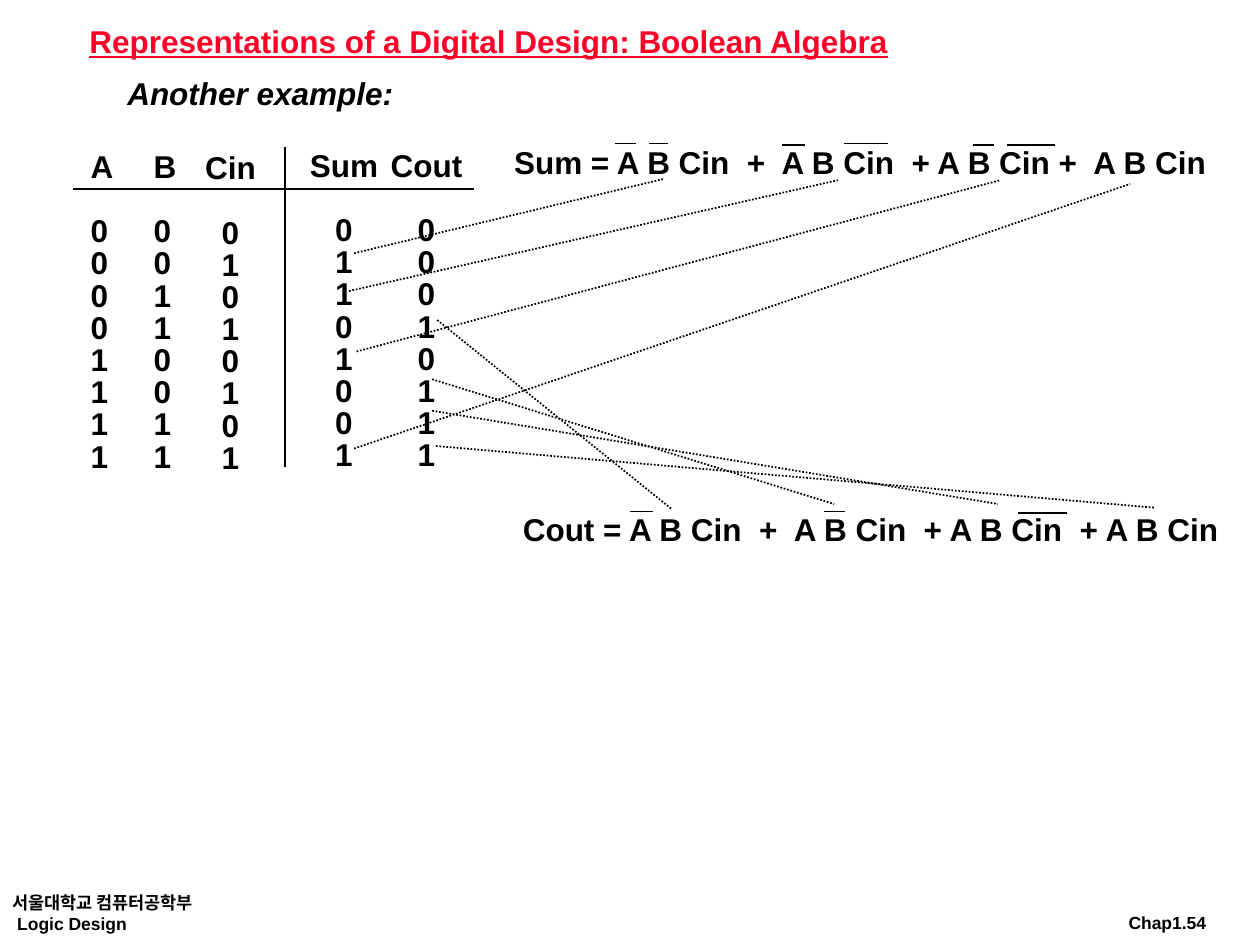
from lxml.etree import SubElement
from pptx import Presentation
from pptx.dml.color import RGBColor
from pptx.enum.dml import MSO_LINE
from pptx.enum.shapes import MSO_CONNECTOR
from pptx.enum.text import MSO_ANCHOR, MSO_AUTO_SIZE, PP_ALIGN
from pptx.oxml.ns import qn
from pptx.util import Inches, Pt

COLORS = {"title": "FC0128", "ink": "000000"}
LINE_PITCH = Pt(18.4)
BODY_INSETS = (0.07, 0.03)
FOOTER_INSETS = (0.1, 0.05)

TITLE = "Representations of a Digital Design: Boolean Algebra"
SUBTITLE = "Another example:"

# heading, values, (left, top, width), alignment
TRUTH_COLUMNS = [
    ("A", "00001111", (0.65, 1.18, 0.32), PP_ALIGN.LEFT),
    ("B", "00110011", (1.15, 1.18, 0.32), PP_ALIGN.LEFT),
    ("Cin", "01010101", (1.56, 1.19, 0.54), PP_ALIGN.CENTER),
    ("Sum", "01101001", (2.39, 1.17, 0.68), PP_ALIGN.CENTER),
    ("Cout", "00010111", (3.03, 1.17, 0.71), PP_ALIGN.CENTER),
]
TABLE_RULES = [((0.58, 1.5), (3.76, 1.5)), ((2.26, 1.17), (2.26, 3.71))]

# overbars: left, right, y; links: truth table entry to product term
EQUATIONS = [
    {
        "text": "Sum = A B Cin  +  A B Cin  + A B Cin +  A B Cin",
        "box": (4.01, 1.15, 5.71, 0.31),
        "overbars": [(4.88, 5.05, 1.14), (5.15, 5.3, 1.14), (6.21, 6.39, 1.15),
                     (6.7, 7.05, 1.14), (7.72, 7.89, 1.15), (7.99, 8.37, 1.15)],
        "links": [((2.81, 2.01), (5.27, 1.42)), ((2.77, 2.31), (6.65, 1.43)),
                  ((2.83, 2.79), (7.94, 1.43)), ((2.81, 3.56), (8.97, 1.46))],
    },
    {
        "text": "Cout = A B Cin  +  A B Cin  + A B Cin  + A B Cin",
        "box": (4.08, 4.06, 5.74, 0.31),
        "overbars": [(5, 5.18, 4.06), (6.54, 6.71, 4.06), (8.08, 8.47, 4.07)],
        "links": [((3.47, 2.54), (5.33, 4.04)), ((3.43, 3.01), (6.62, 4)),
                  ((3.43, 3.26), (7.92, 4)), ((3.46, 3.54), (9.17, 4.03))],
    },
]

# text, box, alignment
FOOTERS = [
    ("서울대학교 컴퓨터공학부\n Logic Design", (0, 7, 2.08, 0.5), PP_ALIGN.LEFT),
    ("Chap1.54", (8.75, 7.17, 0.92, 0.3), PP_ALIGN.RIGHT),
]


def write(sp, text, size=18, color="ink", align=PP_ALIGN.LEFT, pitch=LINE_PITCH,
          insets=BODY_INSETS, anchor=MSO_ANCHOR.TOP):
    """Fill a shape with bold text; return its text frame."""
    tf = sp.text_frame
    tf.text = text
    tf.word_wrap = False
    tf.auto_size = MSO_AUTO_SIZE.NONE
    tf.vertical_anchor = anchor
    tf.margin_left = tf.margin_right = Inches(insets[0])
    tf.margin_top = tf.margin_bottom = Inches(insets[1])
    for p in tf.paragraphs:
        p.alignment = align
        p.line_spacing = pitch
        p.space_before = p.space_after = Pt(0)
        for r in p.runs:
            r.font.name = "Arial"
            r.font.size = Pt(size)
            r.font.bold = True
            r.font.color.rgb = RGBColor.from_string(COLORS[color])
    return tf


def add_text(slide, text, box, **style):
    return write(slide.shapes.add_textbox(*map(Inches, box)), text, **style)


def add_line(slide, start, end, dotted=False):
    line = slide.shapes.add_connector(
        MSO_CONNECTOR.STRAIGHT, *map(Inches, (*start, *end)))
    line.line.color.rgb = RGBColor.from_string(COLORS["ink"])
    line.line.width = Pt(1)
    if dotted:
        line.line.dash_style = MSO_LINE.ROUND_DOT
    SubElement(line._element.spPr, qn("a:effectLst"))


def main():
    prs = Presentation()
    prs.slide_width, prs.slide_height = Inches(10), Inches(7.5)
    slide = prs.slides.add_slide(prs.slide_layouts.get_by_name("Title Only"))

    title = slide.shapes.title
    title.left, title.top, title.width, title.height = map(
        Inches, (0.64, 0.19, 6.49, 0.31))
    tf = write(title, TITLE, color="title")
    tf.paragraphs[0].runs[0].font.underline = True

    tf = add_text(slide, SUBTITLE, (0.94, 0.6, 2.25, 0.31))
    tf.paragraphs[0].runs[0].font.italic = True

    for heading, values, place, align in TRUTH_COLUMNS:
        tf = add_text(slide, "\n".join([heading, *values]), (*place, 2.61), align=align)
        tf.paragraphs[0].space_after = LINE_PITCH
    for start, end in TABLE_RULES:
        add_line(slide, start, end)

    for eq in EQUATIONS:
        add_text(slide, eq["text"], eq["box"])
        for left, right, y in eq["overbars"]:
            add_line(slide, (left, y), (right, y))
        for start, end in eq["links"]:
            add_line(slide, start, end, dotted=True)

    for text, box, align in FOOTERS:
        add_text(slide, text, box, size=10, align=align, pitch=1.0,
                 insets=FOOTER_INSETS, anchor=MSO_ANCHOR.MIDDLE)

    prs.save("out.pptx")


if __name__ == "__main__":
    main()
